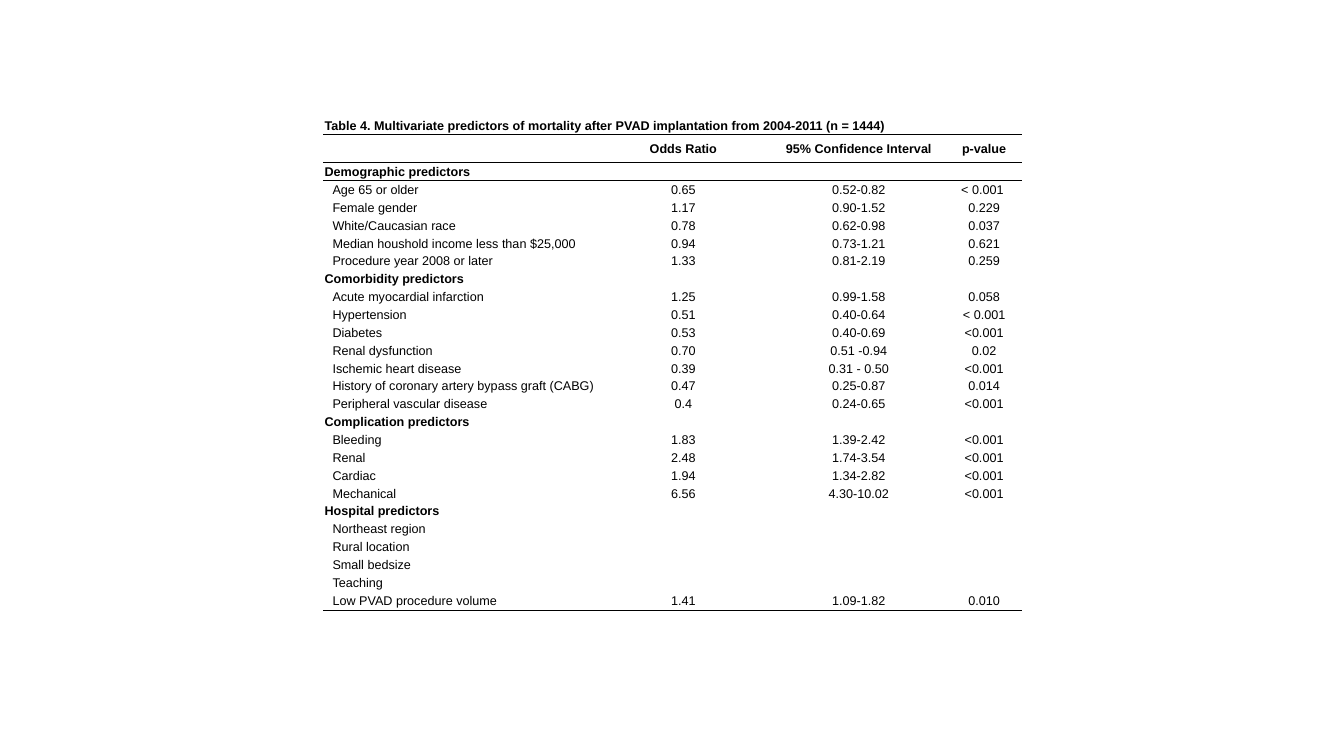
from lxml import etree
from pptx import Presentation, util as u
from pptx.dml.color import RGBColor
from pptx.enum import text
from pptx.oxml import ns

BLACK = RGBColor(0, 0, 0)
FONT_SIZE = u.Pt(9)
NO_STYLE = "{2D5ABB26-0587-4C30-8999-92F81FD0307C}"

TITLE = ("Table 4. Multivariate predictors of mortality after PVAD "
         "implantation from 2004-2011 (n = 1444)")
HEADINGS = ["", "Odds Ratio", "95% Confidence Interval", "p-value"]
GROUPS = {
    "Demographic predictors": [
        ("Age 65 or older", "0.65", "0.52-0.82", "< 0.001 "),
        ("Female gender", "1.17", "0.90-1.52", "0.229"),
        ("White/Caucasian race", "0.78", "0.62-0.98", "0.037"),
        ("Median houshold income less than $25,000", "0.94", "0.73-1.21", "0.621"),
        ("Procedure year 2008 or later", "1.33", "0.81-2.19", "0.259"),
    ],
    "Comorbidity predictors": [
        ("Acute myocardial infarction", "1.25", "0.99-1.58", "0.058"),
        ("Hypertension", "0.51", "0.40-0.64", "< 0.001"),
        ("Diabetes", "0.53", "0.40-0.69", "<0.001"),
        ("Renal dysfunction", "0.70", "0.51 -0.94", "0.02"),
        ("Ischemic heart disease", "0.39", "0.31 - 0.50", "<0.001"),
        ("History of coronary artery bypass graft (CABG)", "0.47", "0.25-0.87", "0.014"),
        ("Peripheral vascular disease", "0.4", "0.24-0.65", "<0.001"),
    ],
    "Complication predictors": [
        ("Bleeding", "1.83", "1.39-2.42", "<0.001"),
        ("Renal", "2.48", "1.74-3.54", "<0.001"),
        ("Cardiac", "1.94", "1.34-2.82", "<0.001"),
        ("Mechanical", "6.56", "4.30-10.02", "<0.001"),
    ],
    "Hospital predictors": [
        ("Northeast region", "", "", ""),
        ("Rural location", "", "", ""),
        ("Small bedsize", "", "", ""),
        ("Teaching", "", "", ""),
        ("Low PVAD procedure volume", "1.41", "1.09-1.82", "0.010"),
    ],
}


def write(cell, words, bold=False, indent=0.03, align=text.PP_ALIGN.LEFT):
    cell.fill.background()
    cell.vertical_anchor = text.MSO_ANCHOR.MIDDLE
    cell.margin_left = u.Cm(indent)
    cell.margin_right = cell.margin_top = u.Cm(0.03)
    cell.margin_bottom = 0
    para = cell.text_frame.paragraphs[0]
    para.alignment = align
    if not words:
        # An empty cell needs its own text size to keep the row low
        end = etree.SubElement(para._p, ns.qn("a:endParaRPr"))
        end.set("sz", str(int(FONT_SIZE.pt * 100)))
        return
    span = para.add_run()
    span.text = words
    span.font.name = "Arial"
    span.font.size = FONT_SIZE
    span.font.bold = bold
    span.font.color.rgb = BLACK


def rule(row, side, points):
    for cell in row.cells:
        line = etree.Element(ns.qn("a:" + side), w=str(u.Pt(points)))
        fill = etree.SubElement(line, ns.qn("a:solidFill"))
        etree.SubElement(fill, ns.qn("a:srgbClr"), val=str(BLACK))
        cell._tc.get_or_add_tcPr().insert(0, line)


deck = Presentation()
deck.slide_width, deck.slide_height = u.Cm(33.87), u.Cm(19.05)
page = deck.slides.add_slide(deck.slide_layouts[6])

# Table grid
widths = [6.86, 4.42, 4.42, 1.9]
heights = [0.41, 0.72] + [0.45] * (len(GROUPS) + sum(map(len, GROUPS.values())))
heights[-1] = 0.48
table = page.shapes.add_table(
    len(heights), len(widths), u.Cm(8.15), u.Cm(2.97),
    u.Cm(sum(widths)), u.Cm(sum(heights))).table
table.first_row = table.horz_banding = False
table._tbl.tblPr.find(ns.qn("a:tableStyleId")).text = NO_STYLE
for column, width in zip(table.columns, widths):
    column.width = u.Cm(width)
for row, height in zip(table.rows, heights):
    row.height = u.Cm(height)

# Title, headings and groups of predictors
lines = [(TITLE, "", "", ""), HEADINGS]
for group, predictors in GROUPS.items():
    lines += [(group, "", "", ""), *predictors]
for number, line in enumerate(lines):
    is_head = number < 2 or line[0] in GROUPS
    for column, words in enumerate(line):
        write(table.cell(number, column), words, bold=is_head,
              indent=0.03 if is_head or column else 0.23,
              align=text.PP_ALIGN.CENTER if column else text.PP_ALIGN.LEFT)
    if line[0] == TITLE or line[0] in list(GROUPS)[:3]:
        table.cell(number, 0).merge(table.cell(number, 3))

# Horizontal rules
rows = table.rows
for row, side, points in [(rows[0], "lnB", 1), (rows[1], "lnB", 0.5),
                          (rows[1], "lnT", 1), (rows[2], "lnT", 0.5),
                          (rows[len(lines) - 1], "lnB", 1)]:
    rule(row, side, points)

deck.save("out.pptx")
